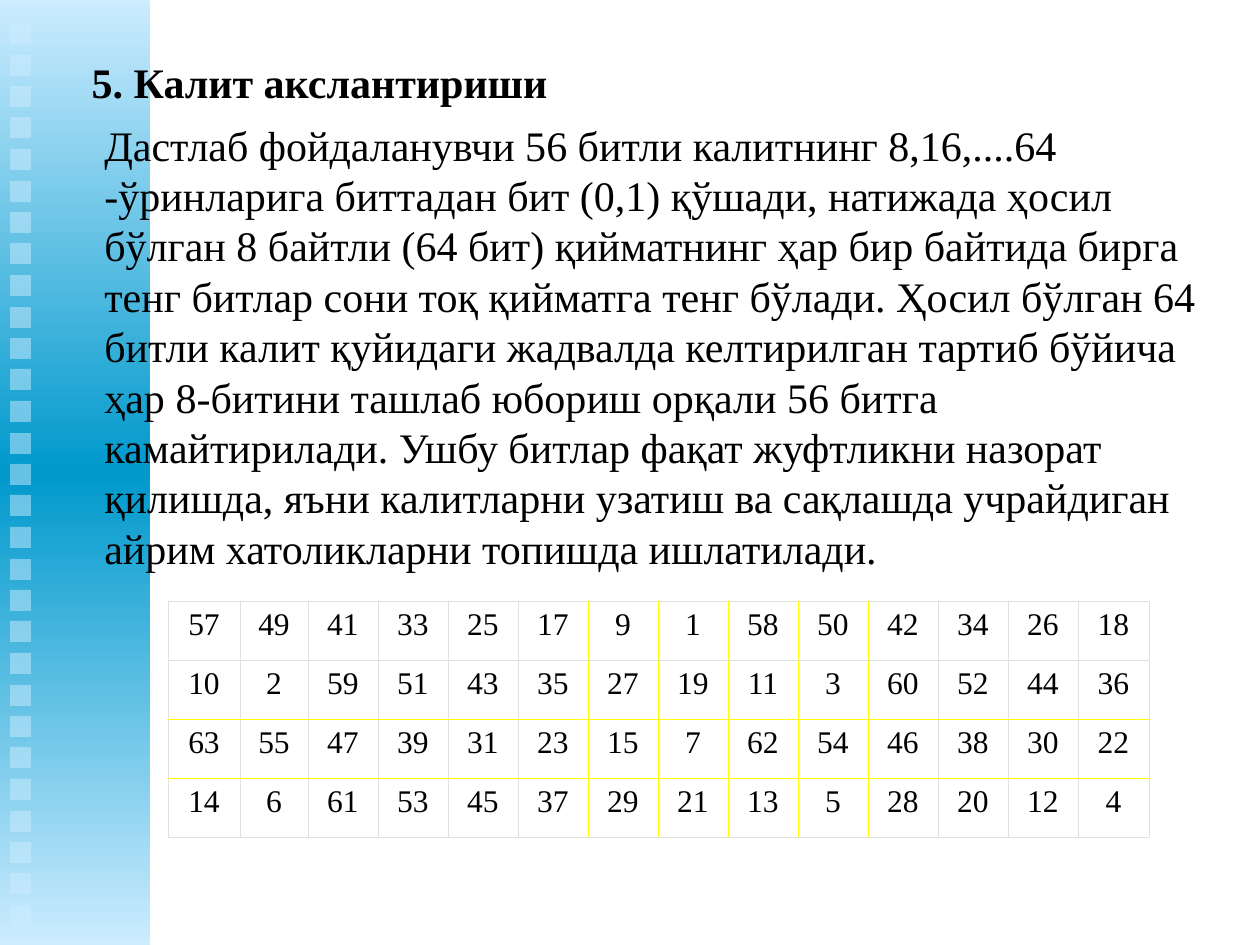
from lxml import etree
from pptx import Presentation
from pptx import util as u
from pptx.dml.color import RGBColor
from pptx.enum import shapes, text
from pptx.oxml import parse_xml
from pptx.oxml.ns import nsdecls, qn

PX = 914400 // 126
HEADING = "5. Калит акслантириши"
BODY = (
    "Дастлаб фойдаланувчи 56 битли калитнинг 8,16,....64 -ўринларига биттадан бит (0,1) "
    "қўшади, натижада ҳосил бўлган 8 байтли (64 бит) қийматнинг ҳар бир байтида бирга "
    "тенг битлар сони тоқ қийматга тенг бўлади. Ҳосил бўлган 64 битли калит қуйидаги "
    "жадвалда келтирилган тартиб бўйича ҳар 8-битини ташлаб юбориш орқали 56 битга "
    "камайтирилади. Ушбу битлар фақат жуфтликни назорат қилишда, яъни калитларни узатиш "
    "ва сақлашда учрайдиган айрим хатоликларни топишда ишлатилади."
)
KEY_BITS = [
    [57, 49, 41, 33, 25, 17, 9, 1, 58, 50, 42, 34, 26, 18],
    [10, 2, 59, 51, 43, 35, 27, 19, 11, 3, 60, 52, 44, 36],
    [63, 55, 47, 39, 31, 23, 15, 7, 62, 54, 46, 38, 30, 22],
    [14, 6, 61, 53, 45, 37, 29, 21, 13, 5, 28, 20, 12, 4],
]
COLUMN_WIDTHS = [72, 68] + [70] * 11 + [71]
YELLOW_COLUMNS = range(6, 11)
YELLOW_ROWS = range(2, 4)


def px(n):
    return u.Emu(n * PX)


def rgb(value):
    return RGBColor.from_string(value)


class Deck:
    font = "Times New Roman"
    ink = "000000"
    pale, deep = "CCECFF", "0099CC"
    yellow, grey = "FFFF00", "E0E0E0"

    def __init__(self):
        self.prs = Presentation()
        self.prs.slide_width, self.prs.slide_height = u.Inches(10), u.Inches(7.5)
        self.s = self.prs.slides.add_slide(self.prs.slide_layouts[5])

    def rect(self, x, y, w, h):
        sp = self.s.shapes.add_shape(shapes.MSO_SHAPE.RECTANGLE, px(x), px(y), px(w), px(h))
        sp.shadow.inherit = False
        sp.line.fill.background()
        return sp

    def band(self, x, y, w, h):
        sp = self.rect(x, y, w, h)
        stops = "".join(
            f'<a:gs pos="{pos}"><a:srgbClr val="{color}"/></a:gs>'
            for pos, color in ((0, self.pale), (50000, self.deep), (100000, self.pale))
        )
        sp.fill.background()
        old = sp._element.spPr.find(qn("a:noFill"))
        old.getparent().replace(old, parse_xml(
            f'<a:gradFill rotWithShape="1" {nsdecls("a")}><a:gsLst>{stops}</a:gsLst>'
            '<a:lin ang="5400000" scaled="1"/></a:gradFill>'))

    def square(self, x, y, size):
        sp = self.rect(x, y, size, size)
        sp.fill.solid()
        sp.fill.fore_color.rgb = rgb(self.pale)
        color = sp._element.spPr.find(qn("a:solidFill"))[0]
        etree.SubElement(color, qn("a:alpha")).set("val", "50000")

    def style(self, p, size, bold=False, align=text.PP_ALIGN.LEFT):
        p.alignment = align
        p.font.name, p.font.size, p.font.bold = self.font, u.Pt(size), bold
        p.font.color.rgb = rgb(self.ink)

    def fill_text(self, sp, words, bold=False):
        tf = sp.text_frame
        tf.word_wrap = True
        tf.auto_size = text.MSO_AUTO_SIZE.NONE
        tf.vertical_anchor = text.MSO_ANCHOR.TOP
        tf.text = words
        p = tf.paragraphs[0]
        p.space_before = u.Pt(0)
        p.line_spacing = u.Pt(28.8)
        self.style(p, 24, bold)

    def title(self, words, x, y, w, h):
        sp = self.s.shapes.title
        sp.left, sp.top, sp.width, sp.height = px(x), px(y), px(w), px(h)
        self.s.shapes._spTree.append(sp._element)
        self.fill_text(sp, words, bold=True)

    def paragraph(self, words, x, y, w, h):
        self.fill_text(self.s.shapes.add_textbox(px(x), px(y), px(w), px(h)), words)

    def border(self, cell, edge, color):
        cell._tc.get_or_add_tcPr().append(parse_xml(
            f'<a:{edge} w="5715" {nsdecls("a")}><a:solidFill>'
            f'<a:srgbClr val="{color}"/></a:solidFill></a:{edge}>'))

    def line_color(self, index, yellow_lines):
        return self.yellow if index in yellow_lines else self.grey

    def table(self, rows, widths, x, y, row_height):
        frame = self.s.shapes.add_table(
            len(rows), len(widths), px(x), px(y), px(sum(widths)), px(row_height * len(rows)))
        table = frame.table
        table.first_row = table.horz_banding = False
        for column, width in zip(table.columns, widths):
            column.width = px(width)
        for r, row in enumerate(rows):
            for c, value in enumerate(row):
                cell = table.cell(r, c)
                cell.text = str(value)
                self.style(cell.text_frame.paragraphs[0], 18, align=text.PP_ALIGN.CENTER)
                for edge, index, lines in (
                    ("lnL", c, YELLOW_COLUMNS), ("lnR", c + 1, YELLOW_COLUMNS),
                    ("lnT", r, YELLOW_ROWS), ("lnB", r + 1, YELLOW_ROWS),
                ):
                    self.border(cell, edge, self.line_color(index, lines))
                cell.fill.background()


def main():
    deck = Deck()
    deck.band(0, 0, 150, 945)
    for i in range(29):
        deck.square(10, 23 + round(i * 31.5), 21)
    deck.title(HEADING, 79, 50, 746, 63)
    deck.paragraph(BODY, 92, 113, 1134, 466)
    deck.table(KEY_BITS, COLUMN_WIDTHS, 168, 601, 59)
    deck.prs.save("out.pptx")


if __name__ == "__main__":
    main()
